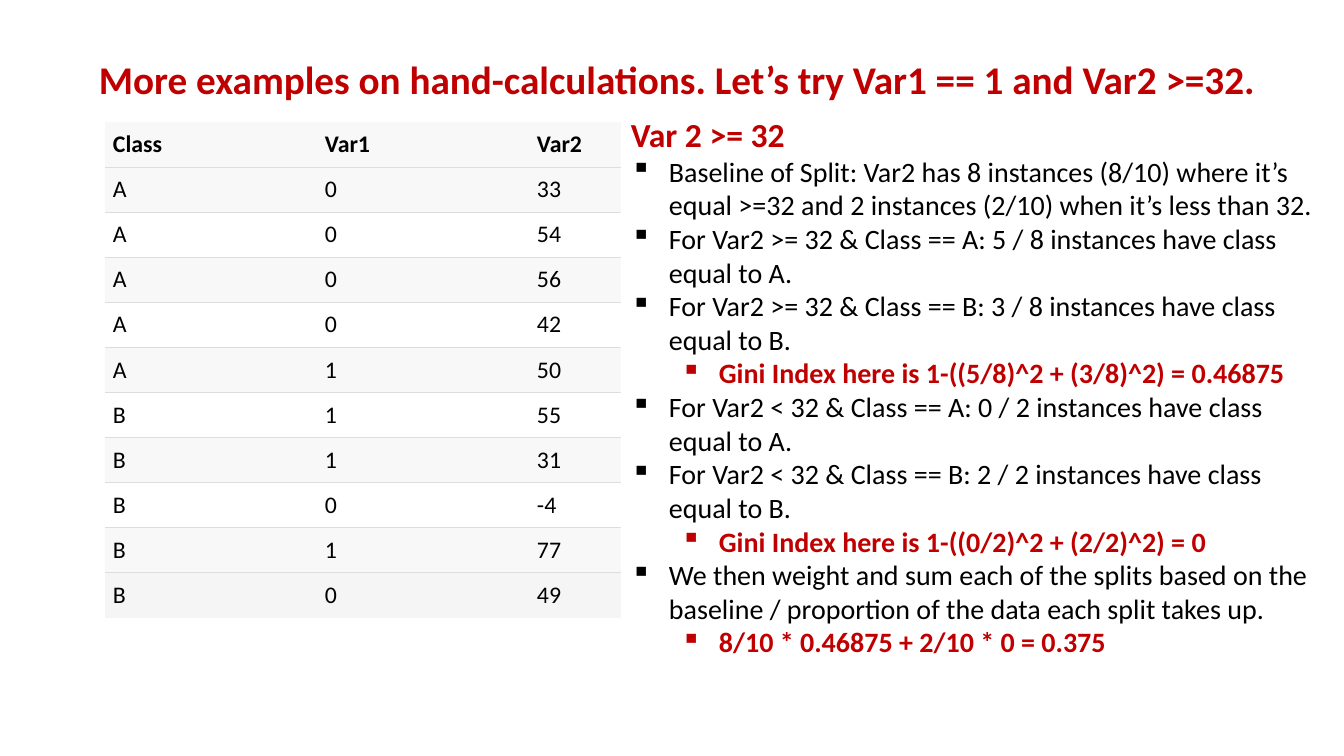
from lxml import etree
from pptx import Presentation
from pptx.dml.color import RGBColor
from pptx.enum.shapes import MSO_SHAPE
from pptx.enum.text import MSO_ANCHOR, PP_ALIGN
from pptx.oxml.ns import qn
from pptx.util import Pt

RECT = MSO_SHAPE.RECTANGLE
LEFT = PP_ALIGN.LEFT
TOP, BOTTOM = MSO_ANCHOR.TOP, MSO_ANCHOR.BOTTOM

# Content
TITLE = "More examples on hand-calculations. Let’s try Var1 == 1 and Var2 >=32."
HEAD = ("Class", "Var1", "Var2", "")
DATA = [
    ("A", 0, 33, ""), ("A", 0, 54, ""), ("A", 0, 56, ""), ("A", 0, 42, ""),
    ("A", 1, 50, ""), ("B", 1, 55, ""), ("B", 1, 31, ""), ("B", 0, -4, ""),
    ("B", 1, 77, ""), ("B", 0, 49, ""),
]
TOPIC = "Var 2 >= 32"
STEPS = [  # level, text
    (0, "Baseline of Split: Var2 has 8 instances (8/10) where it’s equal >=32 and 2 instances (2/10) when it’s less than 32."),
    (0, "For Var2 >= 32 & Class == A: 5 / 8 instances have class equal to A."),
    (0, "For Var2 >= 32 & Class == B: 3 / 8 instances have class equal to B."),
    (1, "Gini Index here is 1-((5/8)^2 + (3/8)^2) = 0.46875"),
    (0, "For Var2 < 32 & Class == A: 0 / 2 instances have class equal to A."),
    (0, "For Var2 < 32 & Class == B: 2 / 2 instances have class equal to B."),
    (1, "Gini Index here is 1-((0/2)^2 + (2/2)^2) = 0"),
    (0, "We then weight and sum each of the splits based on the baseline / proportion of the data each split takes up."),
    (1, "8/10 * 0.46875 + 2/10 * 0 = 0.375"),
]

# Look
FONT = "Calibri"
RED, BLACK, WHITE = "C00000", "000000", "FFFFFF"
STRIPE, LAST, RULE = "F8F8F8", "F5F5F5", "DDDDDD"
COL, ROW, PAD = 212, 44, 8
HANG, STEP = 38, 50


def px(n):
    return round(n * 914400 / 100.8)


def color(code):
    return RGBColor.from_string(code)


def style(para, text, size, code, bold):
    para.text = text
    para.alignment = LEFT
    font = para.font
    font.name, font.size, font.bold = FONT, Pt(size), bold
    font.color.rgb = color(code)


def bullet(para, level):
    para.level = level
    props = para._p.get_or_add_pPr()
    props.set("marL", str(px(HANG + STEP * level)))
    props.set("indent", str(-px(HANG)))
    mark = etree.Element(qn("a:buChar"), char="▪")
    props.insert_element_before(mark, "a:tabLst", "a:defRPr", "a:extLst")


def border(cell, edges):
    props = cell._tc.get_or_add_tcPr()
    for spot, side in enumerate("LRTB"):
        line = etree.Element(qn("a:ln" + side), w=str(Pt(0.75)))
        if side in edges:
            fill = etree.SubElement(line, qn("a:solidFill"))
            etree.SubElement(fill, qn("a:srgbClr"), val=RULE)
        else:
            etree.SubElement(line, qn("a:noFill"))
        props.insert(spot, line)


deck = Presentation()
deck.slide_width, deck.slide_height = px(1344), px(756)
slide = deck.slides.add_slide(deck.slide_layouts[6])
shapes = slide.shapes

# Data table
rows = [HEAD] + DATA
end = len(rows) - 1
box = map(px, (105, 122, COL * len(HEAD), ROW * len(rows)))
table = shapes.add_table(len(rows), len(HEAD), *box).table
table.first_row = table.horz_banding = False
for r, row in enumerate(rows):
    shade = LAST if r == end else WHITE if r and r % 2 == 0 else STRIPE
    edges = ("T" if r > 0 else "") + ("B" if r < end else "")
    for c, value in enumerate(row):
        cell = table.cell(r, c)
        cell.fill.solid()
        cell.fill.fore_color.rgb = color(shade)
        border(cell, edges)
        if value == "":
            continue
        cell.margin_left = cell.margin_right = px(PAD)
        cell.margin_top = cell.margin_bottom = px(PAD)
        cell.vertical_anchor = TOP if r else BOTTOM
        style(cell.text_frame.paragraphs[0], str(value), 17, BLACK, r == 0)

# Worked steps, over the table's empty column
panel = shapes.add_shape(RECT, *map(px, (621, 109, 707, 559)))
panel.shadow.inherit = False
panel.fill.solid()
panel.fill.fore_color.rgb = color(WHITE)
panel.line.fill.background()
frame = panel.text_frame
frame.word_wrap = True
frame.vertical_anchor = TOP
style(frame.paragraphs[0], TOPIC, 24, RED, True)
for level, text in STEPS:
    para = frame.add_paragraph()
    style(para, text, 20, RED if level else BLACK, level == 1)
    bullet(para, level)

# Title
frame = shapes.add_textbox(*map(px, (89, 50, 1205, 57))).text_frame
frame.word_wrap = True
style(frame.paragraphs[0], TITLE, 28, RED, True)

deck.save("out.pptx")
